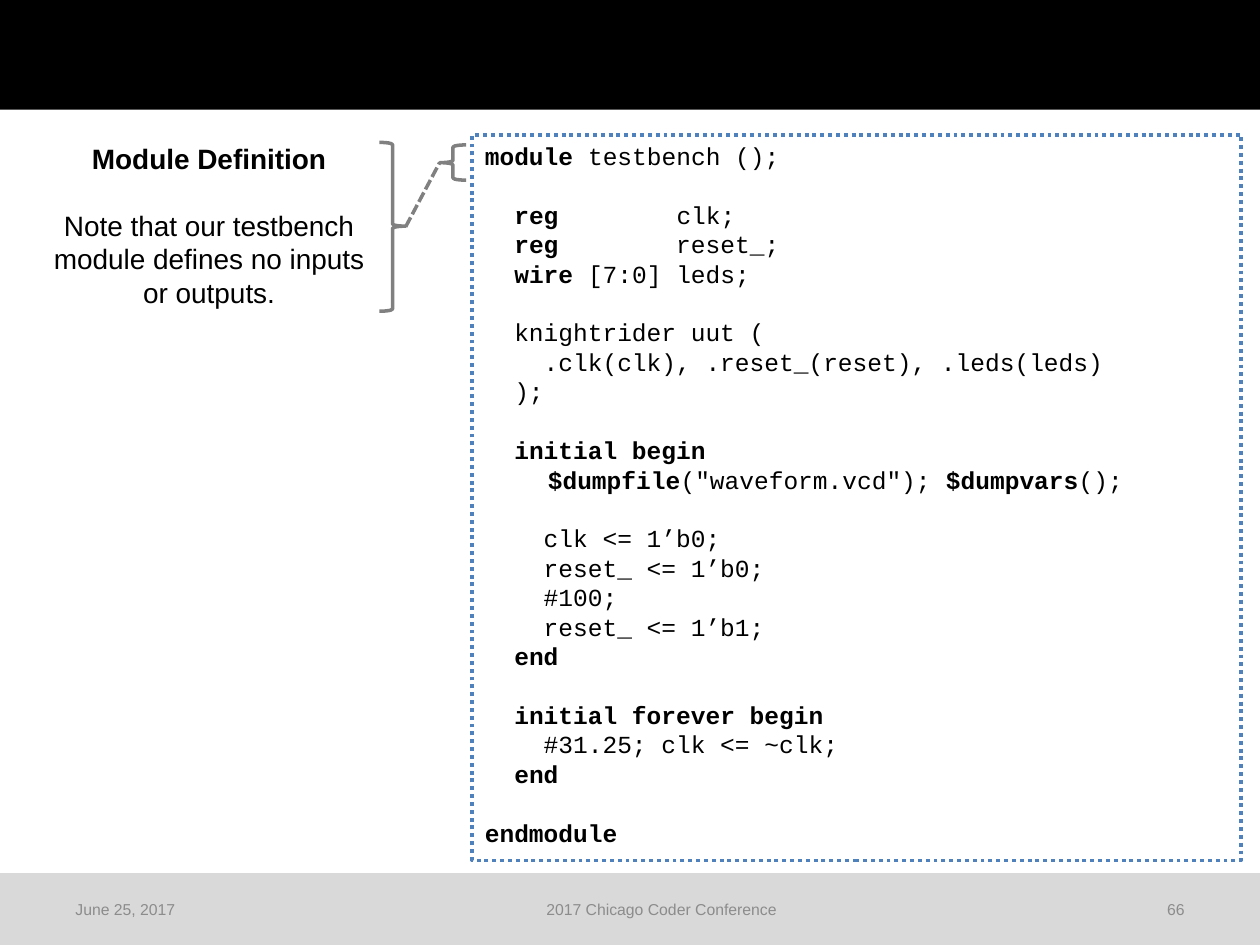
from lxml import etree
from pptx import Presentation
from pptx.dml.color import RGBColor
from pptx.enum.dml import MSO_LINE
from pptx.enum.shapes import MSO_CONNECTOR, MSO_SHAPE
from pptx.enum.text import MSO_ANCHOR, PP_ALIGN
from pptx.oxml.ns import qn
from pptx.util import Inches, Pt

RECTANGLE, LEFT_BRACE = MSO_SHAPE.RECTANGLE, MSO_SHAPE.LEFT_BRACE
STRAIGHT = MSO_CONNECTOR.STRAIGHT
DOTTED, DASHED = MSO_LINE.ROUND_DOT, MSO_LINE.SQUARE_DOT
LEFT, CENTER, RIGHT = PP_ALIGN.LEFT, PP_ALIGN.CENTER, PP_ALIGN.RIGHT
TOP, MIDDLE = MSO_ANCHOR.TOP, MSO_ANCHOR.MIDDLE
LEFT_SIDE = 1

COLORS = {
    "header": "000000",
    "footer": "D9D9D9",
    "footer_text": "8C8C8C",
    "text": "000000",
    "code_border": "4F81BD",
    "brace": "808080",
}
BODY_FONT, CODE_FONT = "Arial", "Courier New"
LINE_PITCH = 1.2
BOLD_MARK = "**"

NOTE = """**Module Definition**

Note that our testbench module defines no inputs or outputs."""

CODE = """**module **testbench ();

  **reg        **clk;
  **reg**        reset_;
  **wire** [7:0] leds;

  knightrider uut (
    .clk(clk), .reset_(reset), .leds(leds)
  );

  **initial begin**
\t**$dumpfile**("waveform.vcd"); **$dumpvars**();

    clk <= 1’b0;
    reset_ <= 1’b0;
    #100;
    reset_ <= 1’b1;
  **end**

  **initial forever begin**
    #31.25; clk <= ~clk;
  **end**

**endmodule**"""


def rgb(name):
    return RGBColor.from_string(COLORS[name])


def add_tab_stop(paragraph, position):
    tabs = etree.SubElement(paragraph._p.get_or_add_pPr(), qn("a:tabLst"))
    etree.SubElement(tabs, qn("a:tab"), pos=str(position), algn="l")


def write_lines(frame, text, font, size, color, align=LEFT, anchor=TOP):
    frame.word_wrap = True
    frame.vertical_anchor = anchor
    pitch = Pt(size * LINE_PITCH)
    started = after_gap = False
    for line in text.split("\n"):
        if not line:
            after_gap = True
            continue
        paragraph = frame.add_paragraph() if started else frame.paragraphs[0]
        if "\t" in line:
            add_tab_stop(paragraph, Inches(0.5))
        paragraph.alignment = align
        paragraph.line_spacing = pitch
        if after_gap:
            paragraph.space_before = pitch
        for index, piece in enumerate(line.split(BOLD_MARK)):
            if piece:
                run = paragraph.add_run()
                run.text = piece
                run.font.name = font
                run.font.size = Pt(size)
                run.font.bold = index % 2 == 1
                run.font.color.rgb = rgb(color)
        started, after_gap = True, False


def add_band(slide, box, color):
    band = slide.shapes.add_shape(RECTANGLE, *box)
    band.shadow.inherit = False
    band.fill.solid()
    band.fill.fore_color.rgb = rgb(color)
    band.line.fill.background()


def add_footer(slide, box):
    left, top, width, height = box
    add_band(slide, box, "footer")
    margin, date_width, number_width = Inches(0.5), Inches(1.22), Inches(0.72)
    event_width = width - 2 * margin - date_width - number_width
    x = left + margin
    for text, part_width, align in (
        ("June 25, 2017", date_width, LEFT),
        ("2017 Chicago Coder Conference", event_width, CENTER),
        ("66", number_width, RIGHT),
    ):
        part = slide.shapes.add_textbox(x, top + Inches(0.09), part_width, Inches(0.4))
        write_lines(part.text_frame, text, BODY_FONT, 9, "footer_text", align, MIDDLE)
        x += part_width


def add_code(slide, box):
    listing = slide.shapes.add_shape(RECTANGLE, *box)
    listing.shadow.inherit = False
    listing.fill.background()
    listing.line.color.rgb = rgb("code_border")
    listing.line.width = Pt(2.25)
    listing.line.dash_style = DOTTED
    write_lines(listing.text_frame, CODE, CODE_FONT, 14, "text")


def add_note(slide, box):
    note = slide.shapes.add_textbox(*box)
    write_lines(note.text_frame, NOTE, BODY_FONT, 16, "text", CENTER)


def add_brace(slide, box, rotation=0):
    brace = slide.shapes.add_shape(LEFT_BRACE, *box)
    brace.shadow.inherit = False
    brace.rotation = rotation
    brace.adjustments[0] = 0.083
    brace.adjustments[1] = 0.504
    brace.fill.background()
    brace.line.color.rgb = rgb("brace")
    brace.line.width = Pt(2)
    return brace


def add_callout(slide, note_side, code_side):
    note_brace = add_brace(slide, note_side, 180)
    code_brace = add_brace(slide, code_side)
    link = slide.shapes.add_connector(
        STRAIGHT,
        note_brace.left + note_brace.width,
        note_brace.top + note_brace.height // 2,
        code_brace.left,
        code_brace.top + code_brace.height // 2,
    )
    link.end_connect(code_brace, LEFT_SIDE)
    link.line.color.rgb = rgb("brace")
    link.line.width = Pt(2)
    link.line.dash_style = DASHED
    etree.SubElement(link._element.spPr, qn("a:effectLst"))


def inch_box(*lengths):
    return tuple(Inches(length) for length in lengths)


def main():
    deck = Presentation()
    deck.slide_width, deck.slide_height = Inches(10), Inches(7.5)
    slide = deck.slides.add_slide(deck.slide_layouts[6])
    add_footer(slide, inch_box(0, 6.93, 10, 0.57))
    add_band(slide, inch_box(0, 0, 10, 0.87), "header")
    add_code(slide, inch_box(3.75, 1.07, 6.1, 5.76))
    add_note(slide, inch_box(0.21, 1.07, 2.9, 1.45))
    add_callout(slide, inch_box(3.01, 1.13, 0.21, 1.34), inch_box(3.49, 1.15, 0.21, 0.28))
    deck.save("out.pptx")


if __name__ == "__main__":
    main()
